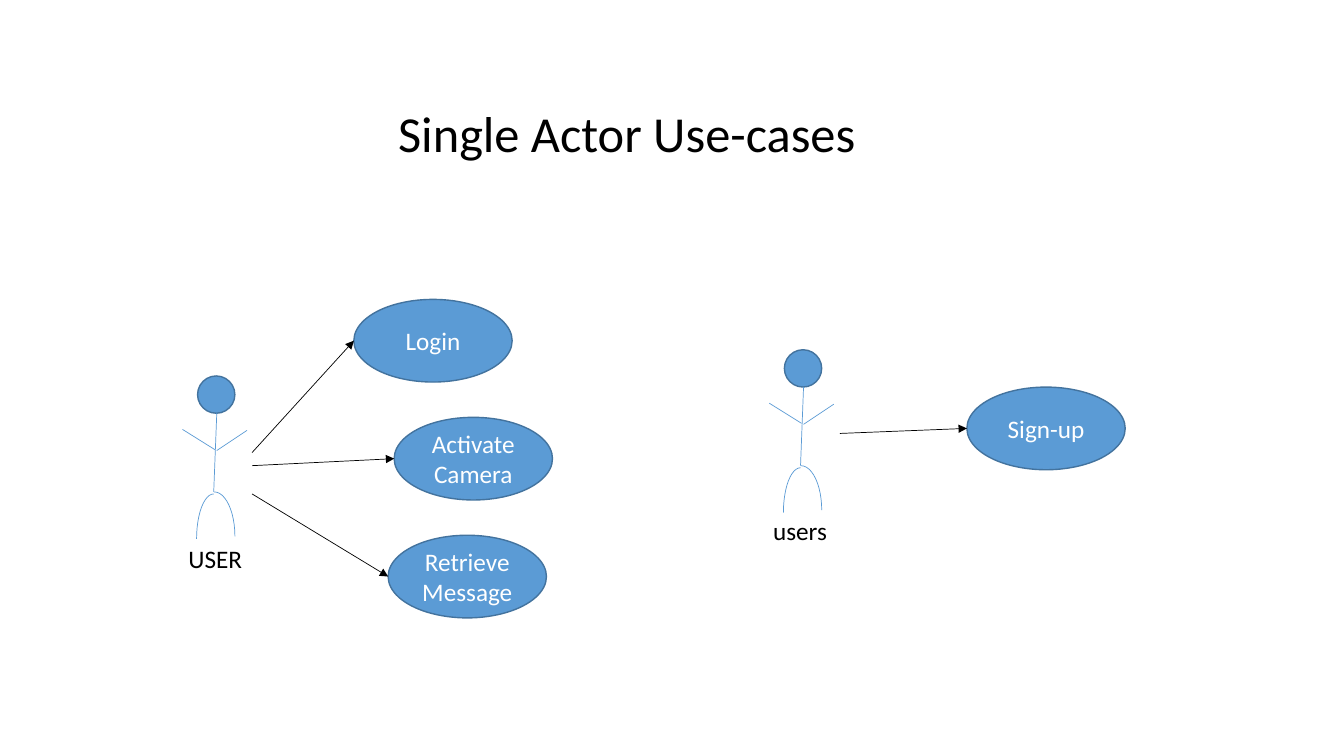
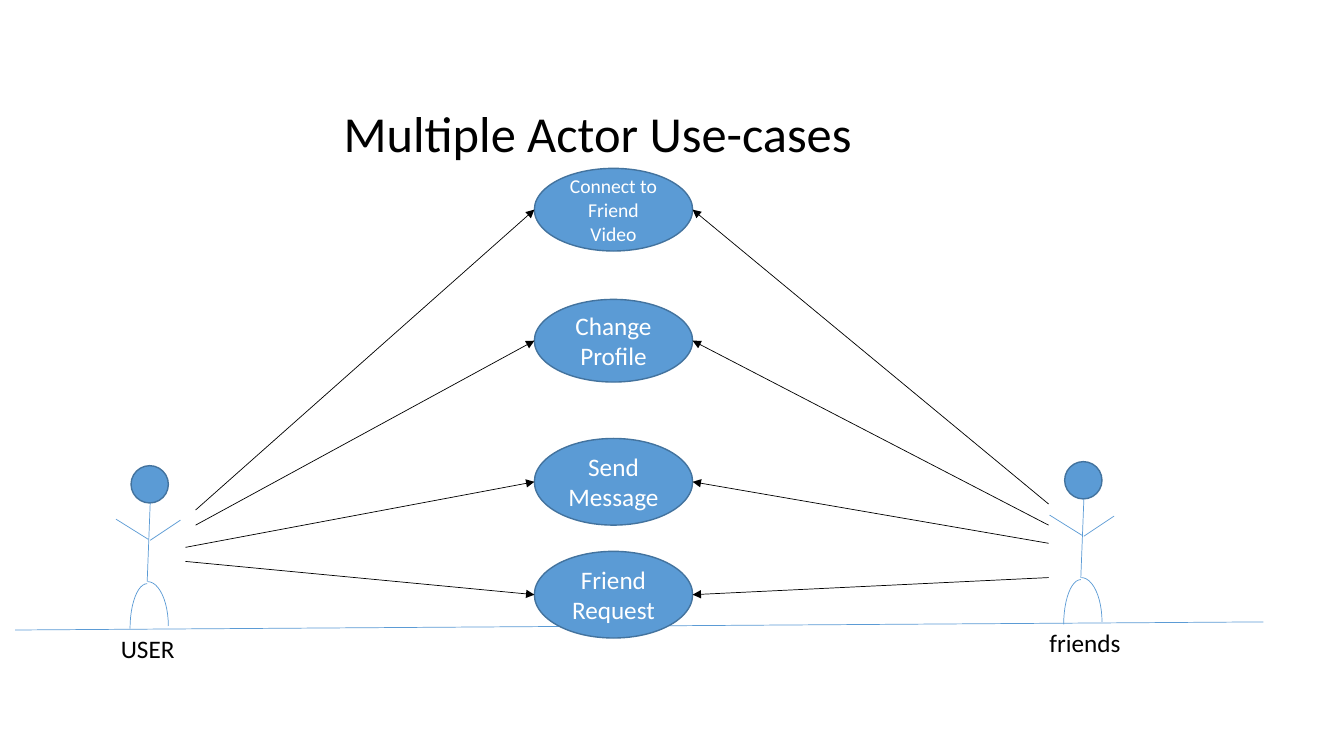
from dataclasses import dataclass

from lxml import etree
from pptx import Presentation
from pptx.dml.color import RGBColor
from pptx.enum import shapes, text
from pptx.oxml import ns
from pptx.shapes.autoshape import Shape
from pptx.shapes.group import GroupShape
from pptx.slide import Slide
from pptx.util import Inches, Pt

BLUE = RGBColor(0x5B, 0x9B, 0xD5)
OUTLINE = RGBColor(0x43, 0x73, 0x9E)
BLACK = RGBColor(0, 0, 0)
WHITE = RGBColor(0xFF, 0xFF, 0xFF)
FONT = "Calibri"
THIN = 0.5
HEAD_SIZE = 0.37
CASE_WIDTH = 1.57

Point = tuple[float, float]


@dataclass(frozen=True)
class Actor:
    """A stick figure placed by the top left corner of its head."""
    name: str
    left: float
    top: float
    label_at: Point
    label_width: float = 0.74


@dataclass(frozen=True)
class UseCase:
    """An ellipse and the points from which arrows reach its sides."""
    name: str
    left: float
    top: float
    arrow_starts: tuple[Point, ...]
    height: float = 0.82
    size: int = 18


@dataclass(frozen=True)
class Diagram:
    title: str
    title_left: float
    title_width: float
    actors: tuple[Actor, ...]
    use_cases: tuple[UseCase, ...]
    ground: tuple[Point, Point] | None = None


DIAGRAMS = (
    Diagram(
        "Single Actor Use-cases", 3.85, 4.89,
        (Actor("USER", 1.96, 3.73, (1.77, 5.34)),
         Actor("users", 7.78, 3.47, (7.57, 5.06))),
        (UseCase("Login", 3.51, 2.97, ((2.5, 4.49),)),
         UseCase("Activate Camera", 3.91, 4.14, ((2.5, 4.62),)),
         UseCase("Retrieve Message", 3.85, 5.31, ((2.5, 4.9),)),
         UseCase("Sign-up", 9.59, 3.84, ((8.33, 4.3),))),
    ),
    Diagram(
        "Multiple Actor Use-cases", 3.31, 6.14,
        (Actor("USER", 1.3, 4.62, (1.1, 6.23)),
         Actor("friends", 10.56, 4.58, (10.31, 6.17), 0.92)),
        (UseCase("Connect to Friend Video", 5.3, 1.67,
                 ((1.94, 5.06), (10.4, 5)), size=14),
         UseCase("Change Profile", 5.3, 2.97, ((1.94, 5.21), (10.4, 5.21))),
         UseCase("Send Message", 5.3, 4.35,
                 ((1.84, 5.43), (10.4, 5.39)), height=0.86),
         UseCase("Friend Request", 5.3, 5.47,
                 ((1.84, 5.57), (10.4, 5.73)), height=0.86)),
        ground=((12.53, 6.17), (0.15, 6.25)),
    ),
)


def format_text(shape: Shape, content: str, size: int, color: RGBColor) -> None:
    shape.text_frame.text = content
    font = shape.text_frame.paragraphs[0].runs[0].font
    font.name, font.size = FONT, Pt(size)
    font.color.rgb = color


def add_text(slide: Slide, content: str, at: Point, width: float,
             height: float, size: int, wrap: bool) -> None:
    box = slide.shapes.add_textbox(Inches(at[0]), Inches(at[1]),
                                   Inches(width), Inches(height))
    format_text(box, content, size, BLACK)
    box.text_frame.word_wrap = wrap
    box.text_frame.auto_size = text.MSO_AUTO_SIZE.SHAPE_TO_FIT_TEXT


def add_line(parent: Slide | GroupShape, start: Point, end: Point,
             color: RGBColor = BLUE, arrow: bool = False) -> None:
    connector = parent.shapes.add_connector(
        shapes.MSO_CONNECTOR.STRAIGHT,
        Inches(start[0]), Inches(start[1]), Inches(end[0]), Inches(end[1]))
    connector.line.color.rgb = color
    connector.line.width = Pt(THIN)
    properties = connector.element.spPr
    if arrow:
        etree.SubElement(properties.get_or_add_ln(), ns.qn("a:tailEnd"),
                         type="triangle")
    etree.SubElement(properties, ns.qn("a:effectLst"))


def add_ellipse(parent: Slide | GroupShape, at: Point, width: float,
                height: float) -> Shape:
    ellipse = parent.shapes.add_shape(
        shapes.MSO_SHAPE.OVAL, Inches(at[0]), Inches(at[1]),
        Inches(width), Inches(height))
    ellipse.shadow.inherit = False
    ellipse.fill.solid()
    ellipse.fill.fore_color.rgb = BLUE
    ellipse.line.color.rgb = OUTLINE
    ellipse.line.width = Pt(1)
    return ellipse


def add_leg(figure: GroupShape, at: Point, width: float, height: float,
            mirrored: bool) -> None:
    leg = figure.shapes.add_shape(
        shapes.MSO_SHAPE.ARC, Inches(at[0]), Inches(at[1]),
        Inches(width), Inches(height))
    leg.shadow.inherit = False
    leg.fill.background()
    leg.line.color.rgb = BLUE
    leg.line.width = Pt(THIN)
    if mirrored:
        leg.element.spPr.find(ns.qn("a:xfrm")).set("flipH", "1")


def add_actor(slide: Slide, actor: Actor) -> None:
    def offset(x: float, y: float) -> Point:
        return actor.left + x, actor.top + y

    figure = slide.shapes.add_group_shape()
    add_ellipse(figure, offset(0, 0), HEAD_SIZE, HEAD_SIZE)
    add_line(figure, offset(0.19, HEAD_SIZE), offset(0.16, 1.15))
    add_leg(figure, offset(-0.04, 1.15), 0.41, 0.88, mirrored=False)
    add_leg(figure, offset(-0.01, 1.17), 0.34, 0.89, mirrored=True)
    add_line(figure, offset(0.19, 0.74), offset(0.49, 0.54))
    add_line(figure, offset(0.17, 0.73), offset(-0.15, 0.53))
    add_text(slide, actor.name, actor.label_at, actor.label_width, 0.4, 18,
             wrap=False)


def add_use_case(slide: Slide, case: UseCase) -> None:
    ellipse = add_ellipse(slide, (case.left, case.top), CASE_WIDTH, case.height)
    format_text(ellipse, case.name, case.size, WHITE)
    ellipse.text_frame.vertical_anchor = text.MSO_ANCHOR.MIDDLE
    ellipse.text_frame.paragraphs[0].alignment = text.PP_ALIGN.CENTER
    middle = case.top + case.height / 2
    for start in case.arrow_starts:
        side = case.left if start[0] < case.left else case.left + CASE_WIDTH
        add_line(slide, start, (side, middle), BLACK, arrow=True)


def add_diagram(slide: Slide, diagram: Diagram) -> None:
    if diagram.ground:
        add_line(slide, *diagram.ground)
    for actor in diagram.actors:
        add_actor(slide, actor)
    for case in diagram.use_cases:
        add_use_case(slide, case)
    add_text(slide, diagram.title, (diagram.title_left, 0.96),
             diagram.title_width, 0.71, 36, wrap=True)


def main() -> None:
    presentation = Presentation()
    presentation.slide_width = Inches(13.33)
    presentation.slide_height = Inches(7.5)
    blank = presentation.slide_layouts[6]
    for diagram in DIAGRAMS:
        add_diagram(presentation.slides.add_slide(blank), diagram)
    presentation.save("out.pptx")


if __name__ == "__main__":
    main()
